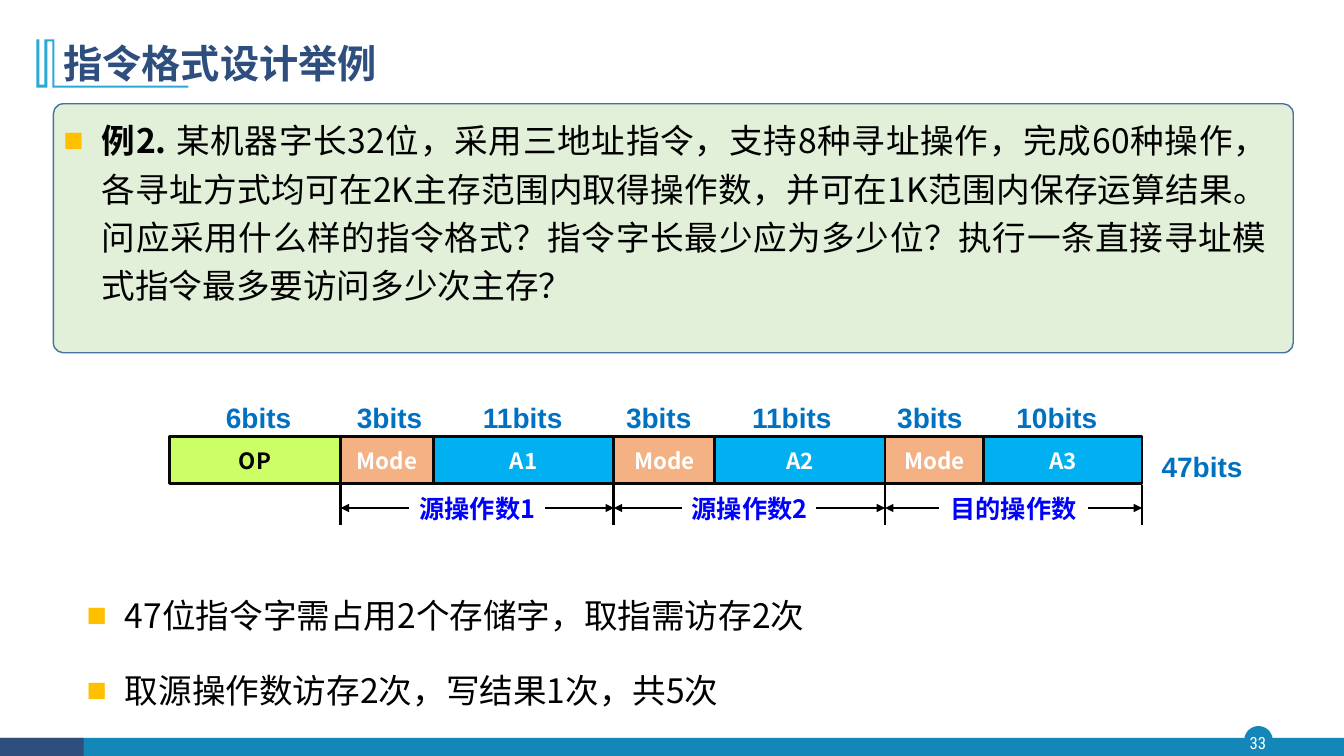
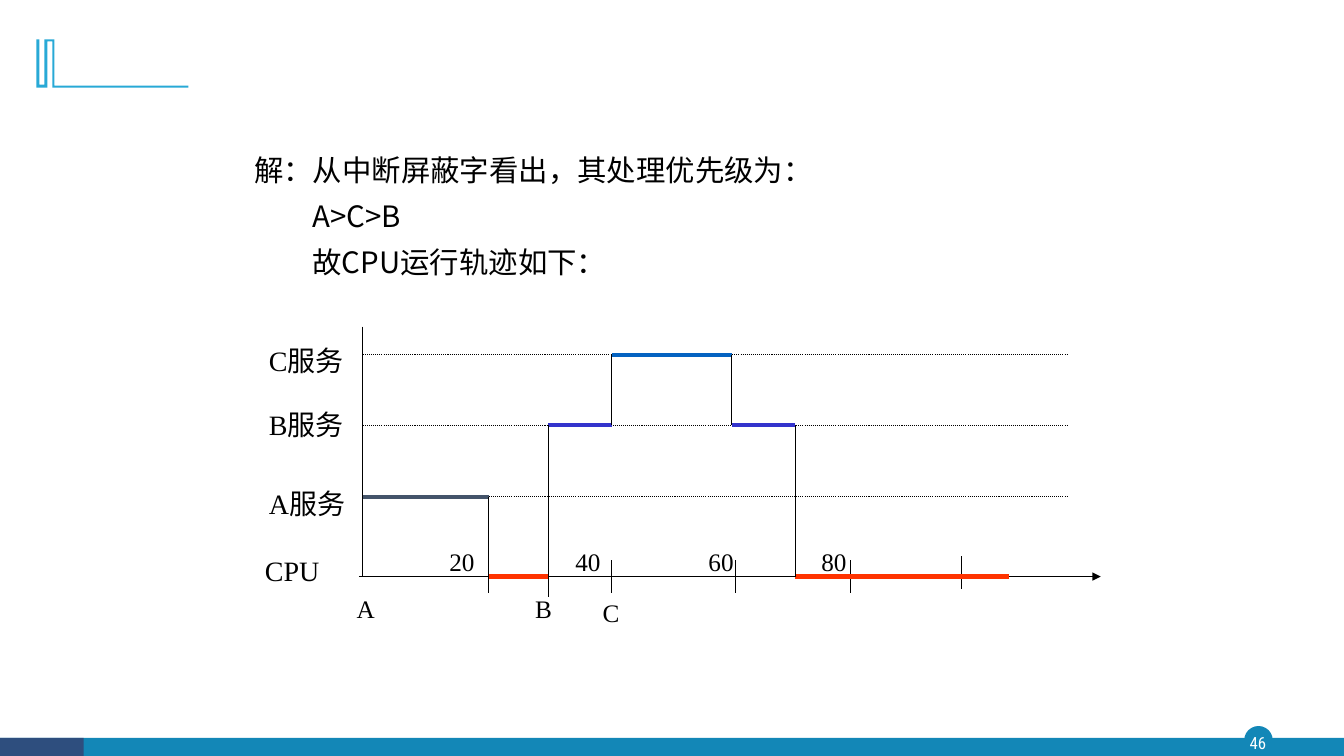
import itertools

import lxml.etree
import pptx
import pptx.dml.color
import pptx.enum.dml
import pptx.enum.shapes
import pptx.enum.text
import pptx.oxml.ns
import pptx.util

CELL = pptx.util.Inches(0.1)
COLUMNS, ROWS = 133.33, 75
CJK, SANS, SERIF, NUMERAL = "Noto Sans CJK SC", "Arial", "Times New Roman", "Roboto Condensed"
BLACK, WHITE, NAVY, TEAL, CYAN = "000000", "FFFFFF", "2E4E7E", "1387B7", "28A9D6"
GOLD, GREEN, LIME, PEACH, SKY = "FFC000", "E2F0D9", "CCFF66", "F4B183", "00B0F0"
SHAPE = pptx.enum.shapes.MSO_SHAPE
ALIGN = pptx.enum.text.PP_ALIGN
ANCHOR = pptx.enum.text.MSO_ANCHOR
qn = pptx.oxml.ns.qn

# Corners of the title mark, in tenths of a grid cell.
MARK = [(54, 39), (54, 85), (187, 85), (187, 87), (52, 87), (52, 41), (47, 41), (47, 87),
        (36, 87), (36, 39), (39, 39), (39, 84), (44, 84), (44, 39)]


def grid(n):
    """Turn a count of grid cells into a length."""
    return pptx.util.Emu(round(n * CELL))


def rgb(color):
    """Turn a hex string into a colour."""
    return pptx.dml.color.RGBColor.from_string(color)


def style(obj, **values):
    """Set each named attribute of an object."""
    for name, value in values.items():
        setattr(obj, name, value)


def place(sp, left, top, width, height):
    """Put a shape on the grid."""
    style(sp, left=grid(left), top=grid(top), width=grid(width), height=grid(height))


def paint(sp, fill, line=None, weight=1):
    """Give a shape its fill and outline, without a shadow."""
    sp.shadow.inherit = False
    sp.fill.solid()
    sp.fill.fore_color.rgb = rgb(fill)
    if line:
        sp.line.color.rgb = rgb(line)
        sp.line.width = pptx.util.Pt(weight)
    else:
        sp.line.fill.background()


def box(s, kind, at, fill, line=None, weight=1):
    """Draw a preset shape on the grid."""
    sp = s.shapes.add_shape(kind, *map(grid, at))
    paint(sp, fill, line, weight)
    return sp


def write(sp, *paragraphs, size, color=BLACK, font=CJK, bold=False, align=ALIGN.LEFT,
          anchor=ANCHOR.TOP, inset=None):
    """Fill a shape with paragraphs, each a string or a list of (text, bold) runs."""
    tf = sp.text_frame
    style(tf, word_wrap=True, vertical_anchor=anchor, auto_size=pptx.enum.text.MSO_AUTO_SIZE.NONE)
    if inset is not None:
        style(tf, **{f"margin_{side}": grid(inset) for side in ("left", "top", "right", "bottom")})
    for i, runs in enumerate(paragraphs):
        p = tf.add_paragraph() if i else tf.paragraphs[0]
        style(p, alignment=align, space_before=pptx.util.Pt(0))
        for text, heavy in [(runs, bold)] if isinstance(runs, str) else runs:
            r = p.add_run()
            r.text = text
            style(r.font, size=pptx.util.Pt(size), bold=heavy, name=font)
            r.font.color.rgb = rgb(color)
    for latin in list(sp.element.iter(qn("a:latin"))):
        east = lxml.etree.Element(qn("a:ea"))
        east.set("typeface", CJK)
        latin.addnext(east)


def label(s, at, text, **look):
    """Add a text box on the grid."""
    sp = s.shapes.add_textbox(*map(grid, at))
    write(sp, text, **look)


def indent(sp, margins, line, before=0, bullet=None):
    """Set line pitch, margins and bullets of a list; margins are (left, first line)."""
    rows = zip(sp.text_frame.paragraphs, sp.element.iter(qn("a:p")), margins)
    for i, (p, element, (left, first)) in enumerate(rows):
        pPr = element.get_or_add_pPr()
        pPr.set("marL", str(grid(left)))
        pPr.set("indent", str(grid(first)))
        if bullet:
            tint = lxml.etree.SubElement(pPr, qn("a:buClr"))
            lxml.etree.SubElement(tint, qn("a:srgbClr")).set("val", GOLD)
            lxml.etree.SubElement(pPr, qn("a:buFont")).set("typeface", SANS)
            lxml.etree.SubElement(pPr, qn("a:buChar")).set("char", bullet)
        else:
            lxml.etree.SubElement(pPr, qn("a:buNone"))
        style(p, line_spacing=pptx.util.Pt(line), space_before=pptx.util.Pt(before if i else 0))


def rule(s, x1, y1, x2, y2, color=BLACK, weight=0.75, dotted=False, arrow=False):
    """Draw a straight line, with an arrowhead at its end if asked."""
    ends = map(grid, (x1, y1, x2, y2))
    c = s.shapes.add_connector(pptx.enum.shapes.MSO_CONNECTOR.STRAIGHT, *ends)
    c.line.color.rgb = rgb(color)
    c.line.width = pptx.util.Pt(weight)
    if dotted:
        c.line.dash_style = pptx.enum.dml.MSO_LINE.ROUND_DOT
    spPr = c.element.spPr
    if arrow:
        lxml.etree.SubElement(spPr.find(qn("a:ln")), qn("a:tailEnd")).set("type", "triangle")
    lxml.etree.SubElement(spPr, qn("a:effectLst"))


def decorate_master(prs, s):
    """Draw the footer band and title mark and move them to the master."""
    pen = s.shapes.build_freeform(*MARK[0], scale=CELL / 10)
    pen.add_line_segments(MARK[1:], close=True)
    mark = pen.convert_to_shape()
    paint(mark, CYAN)
    parts = [box(s, SHAPE.OVAL, (123.5, 72.1, 2.7, 2.7), TEAL, TEAL),
             box(s, SHAPE.RECTANGLE, (0, 73.2, COLUMNS, 1.8), TEAL),
             box(s, SHAPE.RECTANGLE, (0, 73.2, 8.3, 1.8), NAVY), mark]
    for number, sp in enumerate(parts, 101):
        next(sp.element.iter(qn("p:cNvPr"))).set("id", str(number))
        prs.slide_master.shapes.element.append(sp.element)


def page_number(s, number):
    """Write the page number on the footer disc."""
    label(s, (123.2, 72.1, 3.2, 3.1), number, size=12, font=NUMERAL, color=WHITE,
          align=ALIGN.CENTER, anchor=ANCHOR.MIDDLE, inset=0)


def instruction_word(s):
    """Draw the fields of the instruction with their bit counts and operands."""
    fields = [("OP", 17, "6bits", 25.65, LIME, BLACK), ("Mode", 9.2, "3bits", 38.65, PEACH, WHITE),
              ("A1", 17.9, "11bits", 51.85, SKY, WHITE), ("Mode", 10, "3bits", 65.35, PEACH, WHITE),
              ("A2", 16.9, "11bits", 78.55, SKY, WHITE), ("Mode", 9.8, "3bits", 92.25, PEACH, WHITE),
              ("A3", 15.7, "10bits", 104.85, SKY, WHITE)]
    bits = dict(size=20, font=SANS, color="0070C0", bold=True, align=ALIGN.CENTER)
    left, top, height = 16.8, 43.3, 4.7
    edges = [left]
    for name, width, count, centre, fill, color in fields:
        sp = box(s, SHAPE.RECTANGLE, (edges[-1], top, width, height), fill, "080808", 2)
        write(sp, name, size=16, color=color, bold=True, align=ALIGN.CENTER, anchor=ANCHOR.MIDDLE)
        label(s, (centre - 6.25, 39.2, 12.5, 4.4), count, **bits)
        edges.append(edges[-1] + width)
    label(s, (113, 44.1, 12.5, 4.4), "47bits", **bits)

    bounds = edges[1::2]
    for x in bounds:
        rule(s, x, 48.1, x, 52.1, weight=2)
    operands = [("源操作数1", 6.8), ("源操作数2", 6.8), ("目的操作数", 5.4)]
    for (start, end), (name, reach) in zip(itertools.pairwise(bounds), operands):
        label(s, (start, 48.4, end - start, 4), name, size=18, color="0000FF", bold=True,
              align=ALIGN.CENTER)
        for edge, inner in ((start, start + reach), (end, end - reach)):
            rule(s, inner, 50.4, edge, 50.4, weight=1.5, arrow=True)


def format_slide(s):
    """Build the slide on designing an instruction format."""
    title, question, answer = s.placeholders
    place(title, 5.3, 2.8, 115, 6.8)
    write(title, "指令格式设计举例", size=28, color=NAVY, bold=True, anchor=ANCHOR.MIDDLE)

    card = box(s, SHAPE.ROUNDED_RECTANGLE, (5.3, 10.3, 123, 24.7), GREEN, "43739E")
    card.adjustments[0] = 0.04
    s.shapes.element.insert(2, card.element)
    place(question, 5.3, 10.6, 121.4, 24.4)
    write(question, [("例2. ", True), (
        "某机器字长32位，采用三地址指令，支持8种寻址操作，完成60种操作，各寻址方式均可在2K主存范围内取得操作数，"
        "并可在1K范围内保存运算结果。问应采用什么样的指令格式？指令字长最少应为多少位？"
        "执行一条直接寻址模式指令最多要访问多少次主存？", False)], size=24, align=ALIGN.JUSTIFY)
    indent(question, [(3.8, -3.8)], line=34.6, bullet="■")

    instruction_word(s)

    place(answer, 7.6, 57.7, 121.4, 14)
    write(answer, "47位指令字需占用2个存储字，取指需访存2次", "取源操作数访存2次，写结果1次，共5次",
          size=24, align=ALIGN.JUSTIFY)
    indent(answer, [(3.8, -3.8)] * 2, line=34.6, before=19, bullet="■")


def cpu_timeline(s):
    """Draw which service the CPU runs over time."""
    level = {"C": 35.2, "B": 42.2, "A": 49.3, "CPU": 57.2}
    origin, axis = 36, level["CPU"]
    rule(s, 35.6, axis, 109.2, axis, arrow=True)
    rule(s, origin, 32.4, origin, axis)
    for name in "CBA":
        rule(s, origin, level[name], 106, level[name], dotted=True)

    for text, left, top in [("A服务", 25.7, 47.8), ("B服务", 25.7, 39.9), ("C服务", 25.7, 33.6),
                            ("CPU", 25.3, 54.4)]:
        label(s, (left, top, 11.8, 4.3), text, size=20, font=SERIF)
    for text, left, top in [("A", 34.4, 58.4), ("B", 52.1, 58.4), ("C", 58.8, 58.8),
                            ("20", 43.6, 53.7), ("40", 56.1, 53.7), ("60", 69.3, 53.7),
                            ("80", 80.5, 53.7)]:
        label(s, (left, top, 5.1, 4), text, size=18, font=SERIF)
    for x, middle in [(48.5, 57.2), (54.4, 57.6), (60.7, 57.2), (73, 57.2), (84.4, 57.2),
                      (95.4, 56.8)]:
        rule(s, x, middle - 1.6, x, middle + 1.6)

    steps = [("A", 48.5, "44546A"), ("CPU", 54.4, "FF3300"), ("B", 60.7, "3333CC"),
             ("C", 72.6, "0563C1"), ("B", 78.9, "3333CC"), ("CPU", 100.1, "FF3300")]
    start = origin
    for name, end, color in steps:
        rule(s, start, level[name], end, level[name], color, 3)
        start = end
    for (before, x, _), (after, _, _) in itertools.pairwise(steps):
        rule(s, x, level[before], x, level[after])


def timeline_slide(s):
    """Build the slide on the CPU's path through the interrupts."""
    title, body = s.placeholders
    title.element.getparent().remove(title.element)
    place(body, 24.2, 13.9, 85, 16.1)
    write(body, "解：从中断屏蔽字看出，其处理优先级为：", "A>C>B", "故CPU运行轨迹如下：",
          size=21, align=ALIGN.JUSTIFY)
    indent(body, [(3.8, -3.8), (5.8, 0), (5.8, 0)], line=30, before=3)
    cpu_timeline(s)


def main():
    """Build and save the presentation."""
    prs = pptx.Presentation()
    style(prs, slide_width=grid(COLUMNS), slide_height=grid(ROWS))
    pages = [(3, "33", format_slide), (1, "46", timeline_slide)]
    for i, (layout, number, build) in enumerate(pages):
        s = prs.slides.add_slide(prs.slide_layouts[layout])
        if not i:
            decorate_master(prs, s)
        build(s)
        page_number(s, number)
    prs.save("out.pptx")


if __name__ == "__main__":
    main()
